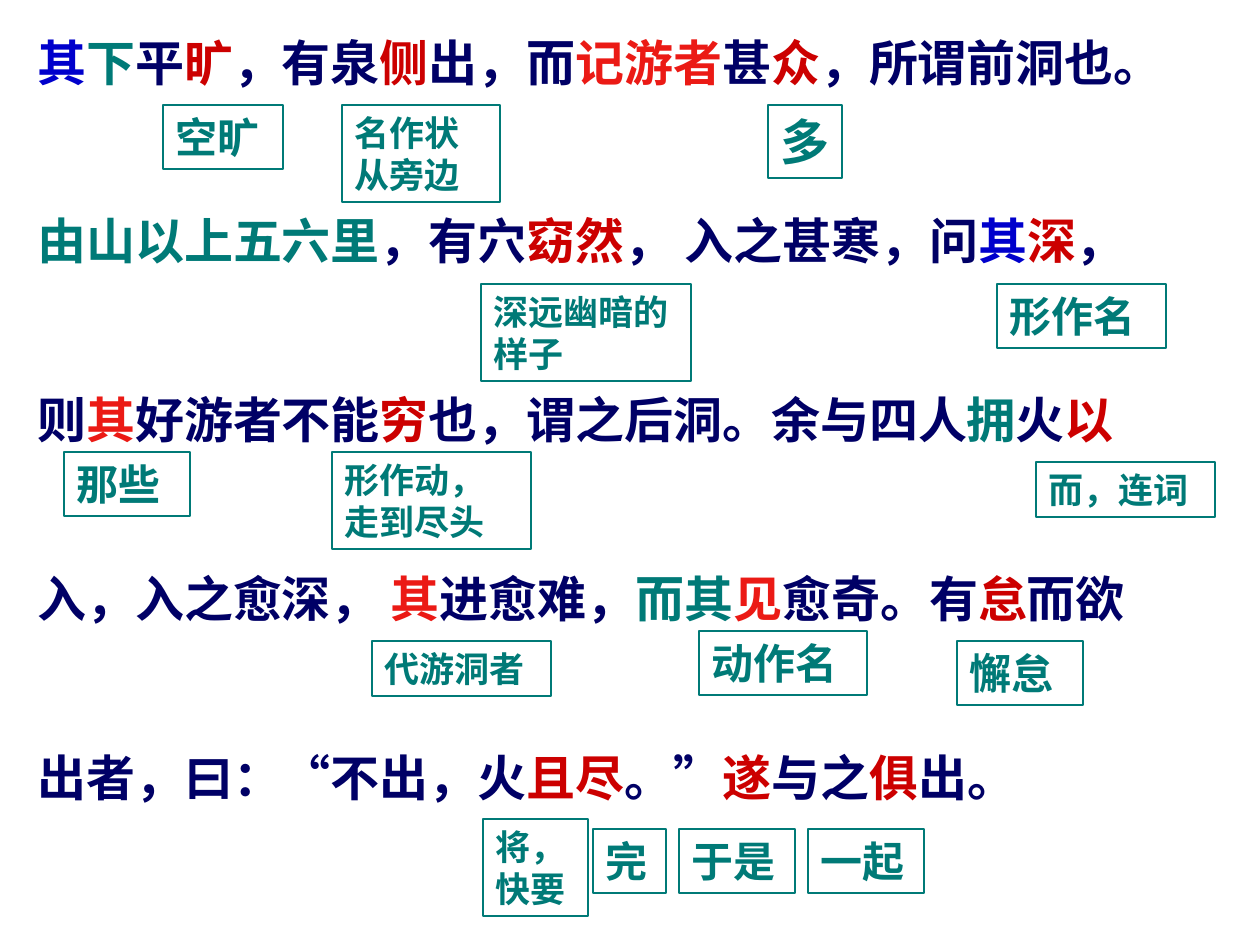
from lxml.etree import SubElement
from pptx import Presentation
from pptx.dml.color import RGBColor
from pptx.enum.shapes import MSO_SHAPE
from pptx.enum.text import MSO_ANCHOR, PP_ALIGN
from pptx.oxml.ns import qn
from pptx.util import Emu, Pt

PX = 914400 // 126
CHINESE_FONT = "Noto Sans CJK SC"
NOTE_FONT = "Times New Roman"
NAVY, BLUE, TEAL, CRIMSON, RED = "000066", "0000CC", "007A77", "CC0000", "EB1A15"

PASSAGE_BOX = (25, 26, 1235, 788)
PASSAGE_SIZE = 28
PASSAGE_GAP = 68.5
PASSAGE = [
    [("其", BLUE), ("下", TEAL), ("平", NAVY), ("旷", CRIMSON), ("，有泉", NAVY),
     ("侧", CRIMSON), ("出，而", NAVY), ("记游者", RED), ("甚", NAVY),
     ("众", CRIMSON), ("，所谓前洞也。", NAVY)],
    [("由山以上五六里", TEAL), ("，有穴", NAVY), ("窈然", CRIMSON),
     ("， 入之甚寒，问", NAVY), ("其", BLUE), ("深", CRIMSON), ("，", NAVY)],
    [("则", NAVY), ("其", RED), ("好游者不能", NAVY), ("穷", CRIMSON),
     ("也，谓之后洞。余与四人", NAVY), ("拥", TEAL), ("火", NAVY), ("以", CRIMSON)],
    [("入，入之愈深， ", NAVY), ("其", RED), ("进愈难，", NAVY), ("而其", TEAL),
     ("见", RED), ("愈奇。有", NAVY), ("怠", CRIMSON), ("而欲", NAVY)],
    [("出者，曰：“不出，火", NAVY), ("且尽", CRIMSON), ("。”", NAVY),
     ("遂", CRIMSON), ("与之", NAVY), ("俱", CRIMSON), ("出。", NAVY)],
]

# text, size in points, left, top, width, number of lines
NOTES = [
    ("空旷", 24, 163, 105, 120, 1),
    ("名作状从旁边", 20, 342, 105, 158, 2),
    ("多", 28, 768, 105, 74, 1),
    ("深远幽暗的样子", 20, 481, 284, 210, 2),
    ("形作名", 24, 997, 284, 169, 1),
    ("那些", 24, 64, 452, 126, 1),
    ("形作动，走到尽头", 20, 332, 452, 199, 2),
    ("而，连词", 20, 1036, 462, 179, 1),
    ("代游洞者", 20, 372, 641, 179, 1),
    ("懈怠", 24, 957, 641, 126, 1),
    ("将，快要", 20, 483, 819, 105, 2),
    ("完", 24, 593, 829, 73, 1),
    ("于是", 24, 679, 829, 116, 1),
    ("一起", 24, 808, 829, 116, 1),
    ("动作名", 24, 699, 631, 168, 1),
]
LINE_HEIGHT = {20: 42, 24: 51, 28: 60}
NOTE_PADDING = 13


def color(value):
    return RGBColor.from_string(value)


def place(left, top, width, height):
    return [Emu(length * PX) for length in (left, top, width, height)]


def style_run(run, latin_font):
    """Set the Latin font and the East Asian font of a run."""
    run.font.name = latin_font
    SubElement(run.font._element, qn("a:ea"), typeface=CHINESE_FONT)


def add_passage(slide):
    frame = slide.shapes.add_textbox(*place(*PASSAGE_BOX)).text_frame
    frame.word_wrap = True
    for index, line in enumerate(PASSAGE):
        paragraph = frame.add_paragraph() if index else frame.paragraphs[0]
        if index:
            paragraph.space_before = Pt(PASSAGE_GAP)
        paragraph.font.size = Pt(PASSAGE_SIZE)
        paragraph.font.bold = True
        for text, run_color in line:
            run = paragraph.add_run()
            run.text = text
            style_run(run, CHINESE_FONT)
            run.font.color.rgb = color(run_color)


def add_note(slide, text, size, left, top, width, lines):
    height = lines * LINE_HEIGHT[size] + NOTE_PADDING
    shape = slide.shapes.add_shape(
        MSO_SHAPE.RECTANGLE, *place(left, top, width, height))
    shape.shadow.inherit = False
    shape.fill.background()
    shape.line.color.rgb = color(TEAL)
    shape.line.width = Pt(0.75)
    frame = shape.text_frame
    frame.word_wrap = True
    frame.vertical_anchor = MSO_ANCHOR.TOP
    paragraph = frame.paragraphs[0]
    paragraph.alignment = PP_ALIGN.LEFT
    paragraph.font.size = Pt(size)
    paragraph.font.bold = True
    paragraph.font.color.rgb = color(TEAL)
    run = paragraph.add_run()
    run.text = text
    style_run(run, NOTE_FONT)


def main():
    presentation = Presentation()
    presentation.slide_width = Emu(1260 * PX)
    presentation.slide_height = Emu(945 * PX)
    slide = presentation.slides.add_slide(presentation.slide_layouts[6])
    add_passage(slide)
    for note in NOTES:
        add_note(slide, *note)
    presentation.save("out.pptx")


if __name__ == "__main__":
    main()
